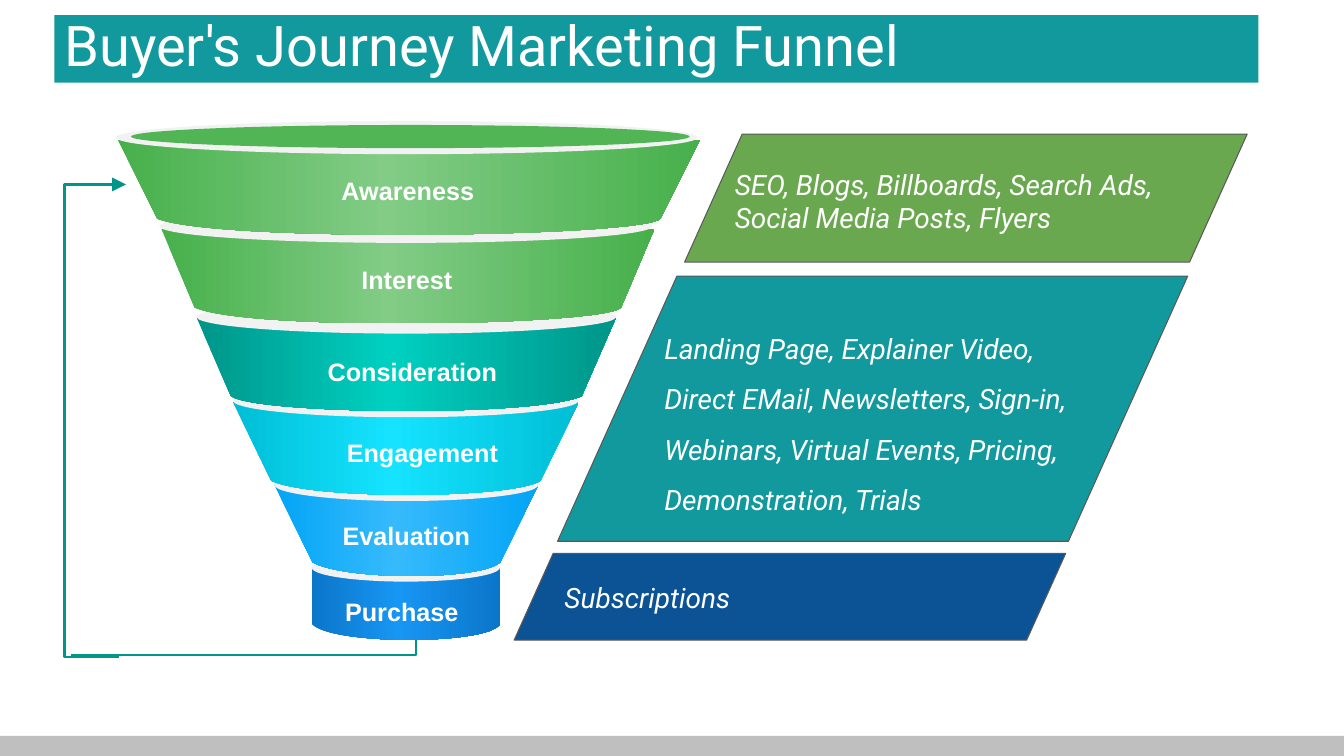
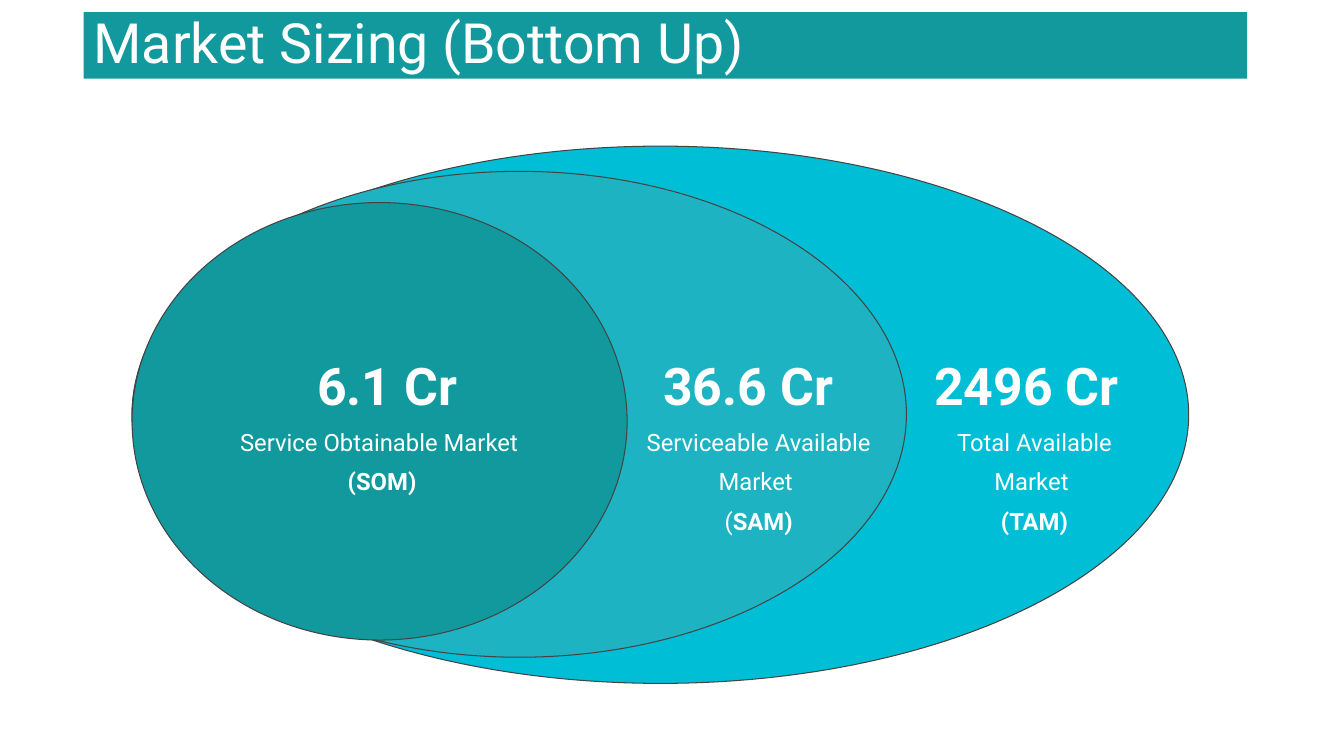
from collections import namedtuple
from copy import deepcopy
from dataclasses import dataclass

from pptx import Presentation
from pptx.dml.color import RGBColor
from pptx.enum.shapes import MSO_SHAPE
from pptx.enum.text import MSO_ANCHOR, PP_ALIGN
from pptx.oxml.ns import qn
from pptx.util import Inches, Pt
from lxml import etree

RECTANGLE = MSO_SHAPE.RECTANGLE
ELLIPSE = MSO_SHAPE.OVAL
PARALLELOGRAM = MSO_SHAPE.PARALLELOGRAM
MIDDLE = MSO_ANCHOR.MIDDLE
LEFT, CENTER = PP_ALIGN.LEFT, PP_ALIGN.CENTER

Box = namedtuple("Box", "left top width height")
Style = namedtuple("Style", "font size bold italic align spacing", defaults=(False, False, LEFT, 1.0))
Rim = namedtuple("Rim", "shift rise height")
Tier = namedtuple("Tier", "name box inset lip rim edge glow label_center label_drop")
Panel = namedtuple("Panel", "box text_box text fill spacing")
Market = namedtuple("Market", "box fill value value_box caption caption_box prefix code")


@dataclass(frozen=True)
class Theme:
    white: str = "FFFFFF"
    teal: str = "11999E"
    mid_teal: str = "1DB3C2"
    cyan: str = "00BED6"
    rim: str = "F2F2F2"
    opening: str = "51B555"
    loop: str = "009589"
    olive: str = "6AA84F"
    navy: str = "0B5394"
    footer: str = "BFBFBF"
    panel_line: str = "595959"
    market_line: str = "434343"
    outline: float = 0.75
    loop_width: float = 1.5
    title: Style = Style("Roboto", 40, spacing=0.9)
    fitted_title: Style = Style("Roboto", 39.6, spacing=0.9)
    tier: Style = Style("Arial", 18, bold=True, align=CENTER)
    channel: Style = Style("Roboto", 20, italic=True)
    value: Style = Style("Roboto", 37, bold=True, align=CENTER, spacing=1.2)
    caption: Style = Style("Roboto", 17, align=CENTER, spacing=1.39)
    code: Style = Style("Roboto", 17, bold=True, align=CENTER, spacing=1.39)


THEME = Theme()
GREEN = ("47B04B", "82CC86")
TIERS = [
    Tier("Purchase ", Box(1.92, 4.41, 1.87, 0.57), 0, (0.2, 0.21, 0.11, 0.21),
         Rim(0, 0.13, 0.28), "0A76C9", "1896F4", 2.85, 0.25),
    Tier("Evaluation", Box(1.55, 3.6, 2.62, 0.77), 0.38, (0.33, 0.18, 0.2, 0.18),
         Rim(0, 0.16, 0.32), "03A5F6", "36BAFC", 2.86, 0.3),
    Tier("Engagement", Box(1.14, 2.78, 3.43, 0.78), 0.38, (0.41, 0.19, 0.28, 0.18),
         Rim(0, 0.18, 0.33), "00BED6", "15E3FF", 3.02, 0.3),
    Tier("Consideration", Box(0.78, 1.94, 4.16, 0.78), 0.34, (0.25, 0.18, 0.47, 0.21),
         Rim(0, 0.17, 0.33), "009589", "00D0C1", 2.92, 0.34),
    Tier("Interest ", Box(0.43, 1.06, 4.89, 0.78), 0.33, (0.53, 0.24, 0.15, 0.18),
         Rim(-0.02, 0.19, 0.33), *GREEN, 2.9, 0.3),
    Tier("Awareness ", Box(0, 0.18, 5.77, 0.78), 0.39, (0.62, 0.24, 0.17, 0.18),
         Rim(-0.02, 0.19, 0.33), *GREEN, 2.91, 0.3),
]
PANELS = [
    Panel(Box(0.43, 1.41, 6.25, 2.63), Box(1.39, 1.74, 4.39, 1.95),
          "Landing Page, Explainer Video, Direct EMail, Newsletters, Sign-in, "
          "Webinars, Virtual Events, Pricing, Demonstration, Trials", THEME.teal, 1.5),
    Panel(Box(1.69, 0, 5.58, 1.27), Box(2.09, 0.28, 4.74, 0.77),
          "SEO, Blogs, Billboards, Search Ads, Social Media Posts, Flyers", THEME.olive, 1.0),
    Panel(Box(0, 4.16, 5.47, 0.86), Box(0.4, 4.38, 2.57, 0.44),
          "Subscriptions", THEME.navy, 1.0),
]
MARKETS = [
    Market(Box(0, 0, 10.48, 5.33), THEME.cyan, "2496 Cr", Box(7.8, 1.94, 2.14, 0.62),
           "Total Available Market ", Box(8.06, 2.61, 1.78, 1.22), "", "(TAM)"),
    Market(Box(0, 0.25, 7.68, 4.82), THEME.mid_teal, "36.6 Cr", Box(5.19, 1.94, 1.84, 0.62),
           "Serviceable Available Market ", Box(5.03, 2.61, 2.37, 1.22), "(", "SAM)"),
    Market(Box(0, 0.56, 4.91, 4.34), THEME.teal, "6.1 Cr", Box(1.71, 1.94, 1.64, 0.62),
           "Service Obtainable Market ", Box(0.92, 2.61, 3.12, 0.82), "", "(SOM)"),
]


def within(area, part):
    return Box(area.left + part.left, area.top + part.top, part.width, part.height)


def rgb(color):
    return RGBColor.from_string(color)


def add_filled(slide, kind, box, fill, line=None):
    shape = slide.shapes.add_shape(kind, *map(Inches, box))
    shape.shadow.inherit = False
    shape.fill.solid()
    shape.fill.fore_color.rgb = rgb(fill)
    if line:
        shape.line.color.rgb = rgb(line)
        shape.line.width = Pt(THEME.outline)
    else:
        shape.line.fill.background()
    return shape


def write(paragraph, text, style):
    run = paragraph.add_run()
    run.text = text
    paragraph.alignment = style.align
    paragraph.line_spacing = style.spacing
    font = paragraph.font
    font.name, font.size = style.font, Pt(style.size)
    font.bold, font.italic = style.bold, style.italic
    font.color.rgb = rgb(THEME.white)


def set_margins(frame, side, end):
    frame.word_wrap = True
    frame.margin_left = frame.margin_right = Inches(side)
    frame.margin_top = frame.margin_bottom = Inches(end)


def add_text(slide, box, text, style, side=0.1, end=0.05):
    frame = slide.shapes.add_textbox(*map(Inches, box)).text_frame
    set_margins(frame, side, end)
    write(frame.paragraphs[0], text, style)
    return frame


def add_outline(slide, points, closed):
    start, *others = [(Inches(x), Inches(y)) for x, y in points]
    builder = slide.shapes.build_freeform(*start)
    builder.add_line_segments(others, close=closed)
    shape = builder.convert_to_shape()
    shape.shadow.inherit = False
    return shape


def bend(shape, first):
    lines = list(shape._element.spPr.iter(qn("a:lnTo")))[first:first + 3]
    curve = etree.Element(qn("a:cubicBezTo"))
    lines[0].addprevious(curve)
    for line in lines:
        curve.append(line[0])
        line.getparent().remove(line)


def fill_gradient(shape, edge, glow):
    shape.fill.gradient()
    shape.fill.gradient_angle = 0
    stop_list = shape._element.spPr.find(".//" + qn("a:gsLst"))
    stop_list.insert(1, deepcopy(stop_list[0]))
    for stop, color, position in zip(shape.fill.gradient_stops, (edge, glow, edge), (0, 0.46, 1)):
        stop.color.rgb = rgb(color)
        stop.position = position


def add_title(slide, box, text, style):
    band = add_filled(slide, RECTANGLE, box, THEME.teal)
    set_margins(band.text_frame, 0.1, 0.05)
    band.text_frame.vertical_anchor = MIDDLE
    write(band.text_frame.paragraphs[0], text, style)


def add_tier(slide, area, tier):
    left, top, width, height = within(area, tier.box)
    right, bottom = left + width, top + height
    low_left, low_right = left + tier.inset, right - tier.inset
    dx_left, dy_left, dx_right, dy_right = tier.lip
    body = add_outline(slide, [
        (left, top), (low_left, bottom),
        (low_left + dx_left, bottom + dy_left), (low_right - dx_right, bottom + dy_right),
        (low_right, bottom), (right, top)], True)
    bend(body, 1)
    fill_gradient(body, tier.edge, tier.glow)
    body.line.fill.background()
    rim = tier.rim
    add_filled(slide, ELLIPSE, Box(left + rim.shift, top - rim.rise, width, rim.height), THEME.rim)
    label = Box(area.left + tier.label_center - 1.1, top + tier.label_drop, 2.2, 0.4)
    add_text(slide, label, tier.name, THEME.tier)


def add_funnel(slide, area):
    for tier in TIERS:
        add_tier(slide, area, tier)
    add_filled(slide, ELLIPSE, within(area, Box(0.13, 0.03, 5.54, 0.23)), THEME.opening)


def add_return_loop(slide, area):
    right, bottom = area.left + area.width, area.top + area.height
    upward = [(area.left + 0.61, area.top), (area.left, area.top),
              (area.left, bottom), (area.left + 0.54, bottom)]
    outward = [(area.left + 0.06, bottom - 0.02), (right, bottom - 0.02), (right, bottom - 0.8)]
    for route, arrow in ((upward, True), (outward, False)):
        route_line = add_outline(slide, route, False)
        route_line.fill.background()
        route_line.line.color.rgb = rgb(THEME.loop)
        route_line.line.width = Pt(THEME.loop_width)
        if arrow:
            stroke = route_line._element.spPr.find(qn("a:ln"))
            etree.SubElement(stroke, qn("a:headEnd"), type="triangle", w="lg", len="lg")


def add_channels(slide, area):
    for panel in PANELS:
        shape = add_filled(slide, PARALLELOGRAM, within(area, panel.box), panel.fill, THEME.panel_line)
        shape.adjustments[0] = 0.45
        add_text(slide, within(area, panel.text_box), panel.text,
                 THEME.channel._replace(spacing=panel.spacing))


def add_markets(slide, area):
    for market in MARKETS:
        add_filled(slide, ELLIPSE, within(area, market.box), market.fill, THEME.market_line)
    for market in MARKETS:
        add_text(slide, within(area, market.value_box), market.value, THEME.value, 0, 0)
        caption = add_text(slide, within(area, market.caption_box), market.caption,
                           THEME.caption, 0.07, 0.07)
        code_line = caption.add_paragraph()
        if market.prefix:
            prefix = code_line.add_run()
            prefix.text = market.prefix
            prefix.font.bold = False
        write(code_line, market.code, THEME.code)


def build_funnel_slide(slide):
    add_return_loop(slide, Box(0.64, 1.83, 3.49, 4.69))
    add_channels(slide, Box(5.1, 1.33, 7.27, 5.02))
    add_filled(slide, RECTANGLE, Box(0, 7.3, 13.33, 0.2), THEME.footer)
    add_funnel(slide, Box(1.17, 1.21, 5.77, 5.14))
    add_title(slide, Box(0.54, 0.15, 11.94, 0.67), "Buyer's Journey Marketing Funnel", THEME.title)


def build_market_slide(slide):
    add_markets(slide, Box(1.31, 1.45, 10.48, 5.33))
    add_title(slide, Box(0.83, 0.12, 11.54, 0.66), "Market Sizing (Bottom Up)", THEME.fitted_title)


def main():
    deck = Presentation()
    deck.slide_width, deck.slide_height = Inches(13.33), Inches(7.5)
    blank = deck.slide_layouts[6]
    for build in (build_funnel_slide, build_market_slide):
        build(deck.slides.add_slide(blank))
    deck.save("out.pptx")


if __name__ == "__main__":
    main()
